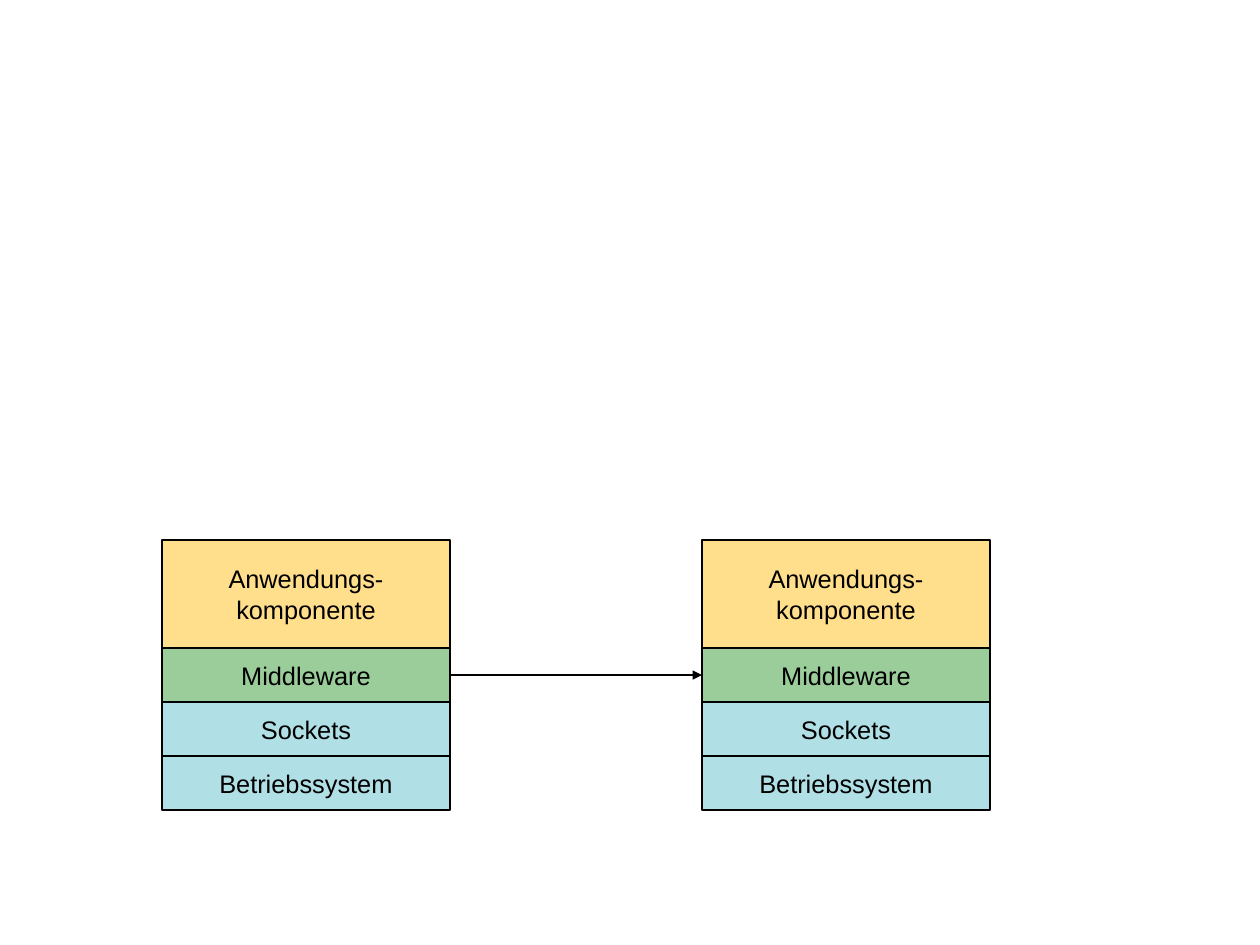
import pptx
import pptx.util
import pptx.dml.color
import pptx.enum.shapes
import pptx.enum.text
import pptx.oxml.ns
import lxml.etree

COLORS = {
    "application": "FFDE8C",
    "middleware": "9BCD9B",
    "system": "B0E0E6",
    "ink": "000000",
}


def rgb(name):
    return pptx.dml.color.RGBColor.from_string(COLORS[name])


deck = pptx.Presentation()
deck.slide_width = pptx.util.Cm(28)
deck.slide_height = pptx.util.Cm(21)
page = deck.slides.add_slide(deck.slide_layouts[6])

# Grid: square cells of 1.2 cm
CELL = pptx.util.Cm(1.2)
STACK_COLUMNS = [3, 13]
TOP_ROW = 10
LAYER_WIDTH = pptx.util.Cm(6.4)

# Layers from top to bottom: text, colour, height in rows
LAYERS = [
    ("Anwendungs-\nkomponente", "application", 2),
    ("Middleware", "middleware", 1),
    ("Sockets", "system", 1),
    ("Betriebssystem", "system", 1),
]

# Two identical protocol stacks
middleware_boxes = []
for column in STACK_COLUMNS:
    row = TOP_ROW
    for text, color, rows in LAYERS:
        box = page.shapes.add_shape(
            pptx.enum.shapes.MSO_SHAPE.RECTANGLE,
            column * CELL, row * CELL, LAYER_WIDTH, rows * CELL)
        box.shadow.inherit = False
        box.fill.solid()
        box.fill.fore_color.rgb = rgb(color)
        box.line.color.rgb = rgb("ink")
        box.line.width = pptx.util.Pt(0.85)

        frame = box.text_frame
        frame.text = text
        frame.word_wrap = False
        frame.vertical_anchor = pptx.enum.text.MSO_ANCHOR.MIDDLE
        frame.margin_left = frame.margin_right = pptx.util.Inches(0.1)
        frame.margin_top = frame.margin_bottom = pptx.util.Inches(0.06)
        for para in frame.paragraphs:
            para.alignment = pptx.enum.text.PP_ALIGN.CENTER
            para.font.name = "Arial"
            para.font.size = pptx.util.Pt(16)
            para.font.color.rgb = rgb("ink")

        if color == "middleware":
            middleware_boxes.append(box)
        row += rows

# Arrow between the middleware layers
sender, receiver = middleware_boxes
arrow = page.shapes.add_connector(
    pptx.enum.shapes.MSO_CONNECTOR.STRAIGHT, 0, 0, 0, 0)
arrow.begin_connect(sender, 3)
arrow.end_connect(receiver, 1)
arrow.line.color.rgb = rgb("ink")
arrow.line.width = pptx.util.Pt(1.42)
lxml.etree.SubElement(
    arrow.line._get_or_add_ln(), pptx.oxml.ns.qn("a:tailEnd"), type="triangle")
lxml.etree.SubElement(
    arrow._element.spPr, pptx.oxml.ns.qn("a:effectLst"))

deck.save("out.pptx")
